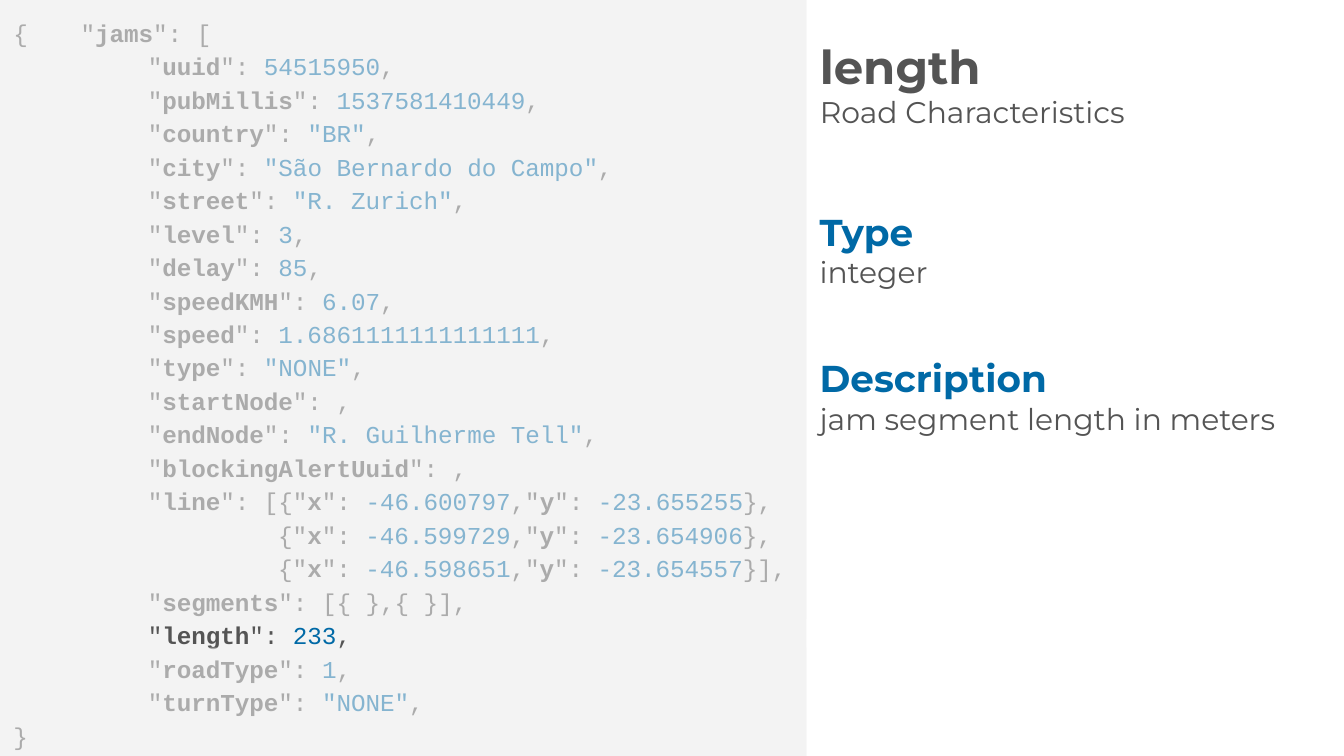
from lxml.etree import SubElement
from pptx import Presentation
from pptx.dml.color import RGBColor
from pptx.enum.shapes import MSO_SHAPE
from pptx.enum.text import MSO_ANCHOR, MSO_AUTO_SIZE, PP_ALIGN
from pptx.oxml.ns import qn
from pptx.util import Inches, Pt

COLORS = {"panel": "F3F3F3", "text": "545454", "accent": "0069A6"}
CODE_FONT, LABEL_FONT = "Courier New", "Montserrat"

FIELDS = [
    ("uuid", "54515950"),
    ("pubMillis", "1537581410449"),
    ("country", '"BR"'),
    ("city", '"São Bernardo do Campo"'),
    ("street", '"R. Zurich"'),
    ("level", "3"),
    ("delay", "85"),
    ("speedKMH", "6.07"),
    ("speed", "1.6861111111111111"),
    ("type", '"NONE"'),
    ("startNode", ""),
    ("endNode", '"R. Guilherme Tell"'),
    ("blockingAlertUuid", ""),
]
POINTS = [
    ("-46.600797", "-23.655255"),
    ("-46.599729", "-23.654906"),
    ("-46.598651", "-23.654557"),
]
LAST_FIELDS = [("length", "233"), ("roadType", "1"), ("turnType", '"NONE"')]

TITLE, CATEGORY = "length", "Road Characteristics"
# heading, top of heading, detail, (top, width, height) of detail
SECTIONS = [
    ("Type", 1.46, "integer", (1.79, 3.6, 0.87)),
    ("Description", 2.54, "jam segment length in meters", (2.88, 4, 2.63)),
]

SLIDE_W, PANEL_W = 10, 6
SLIDE_H = SLIDE_W * 9 / 16
FIELD_INDENT, POINT_INDENT = 1, 1.97
VEIL_TOPS = [4.82, -1.02]  # panel-sized veils that leave only "length" clear
VEIL_ALPHA = 55


def plain(text):
    return text, {}


def pair(key, value="", end=","):
    """Return the runs of one JSON member: bold key, accented value."""
    runs = [plain('"'), (key, {"bold": True}), plain('": ')]
    if value:
        runs.append((value, {"color": "accent"}))
    return runs + [plain(end)]


def code_lines():
    """Return (indent, runs) for every line of the JSON sample."""
    lines = [(0, [plain("{\t")] + pair("jams", end="["))]
    lines += [(FIELD_INDENT, pair(*field)) for field in FIELDS]
    for i, (x, y) in enumerate(POINTS):
        opening = pair("line", end="[{") if i == 0 else [plain("{")]
        closing = "}]," if i == len(POINTS) - 1 else "},"
        indent = FIELD_INDENT if i == 0 else POINT_INDENT
        lines.append((indent, opening + pair("x", x) + pair("y", y, closing)))
    lines.append((FIELD_INDENT, pair("segments", end="[{ },{ }],")))
    lines += [(FIELD_INDENT, pair(*field)) for field in LAST_FIELDS]
    return lines + [(0, [plain("}")])]


def write(paragraph, text, size=16, color="text", bold=False, font=LABEL_FONT):
    run = paragraph.add_run()
    run.text = text
    run.font.size, run.font.bold, run.font.name = Pt(size), bold, font
    run.font.color.rgb = RGBColor.from_string(COLORS[color])


def paint(shape):
    shape.fill.solid()
    shape.fill.fore_color.rgb = RGBColor.from_string(COLORS["panel"])


def place(shape, left, top, width, height, anchor=MSO_ANCHOR.TOP):
    """Position a text shape and return its frame with even margins."""
    shape.left, shape.top = Inches(left), Inches(top)
    shape.width, shape.height = Inches(width), Inches(height)
    frame = shape.text_frame
    frame.word_wrap, frame.auto_size = True, MSO_AUTO_SIZE.NONE
    frame.vertical_anchor = anchor
    frame.margin_left = frame.margin_right = Inches(0.1)
    frame.margin_top = frame.margin_bottom = Inches(0.1)
    return frame


def next_paragraph(frame, is_first):
    paragraph = frame.paragraphs[0] if is_first else frame.add_paragraph()
    paragraph.alignment = PP_ALIGN.LEFT
    paragraph.space_before = Pt(0)
    return paragraph


def add_code(slide):
    panel = slide.placeholders[1]
    paint(panel)
    frame = place(panel, 0, 0, PANEL_W, SLIDE_H)
    for i, (indent, runs) in enumerate(code_lines()):
        paragraph = next_paragraph(frame, i == 0)
        paragraph.line_spacing = 1.15
        props = paragraph._p.get_or_add_pPr()
        props.set("marL", str(Inches(indent)))
        props.set("indent", "0")
        SubElement(props, qn("a:buNone"))
        if i == 0:
            stops = SubElement(props, qn("a:tabLst"))
            SubElement(stops, qn("a:tab"), pos=str(Inches(FIELD_INDENT)), algn="l")
        for text, style in runs:
            write(paragraph, text, size=13, font=CODE_FONT, **style)


def add_title(slide):
    frame = place(slide.shapes.title, PANEL_W, 0.16, 4, 0.92, MSO_ANCHOR.MIDDLE)
    write(next_paragraph(frame, True), TITLE, size=25, bold=True)
    write(next_paragraph(frame, False), CATEGORY)


def add_label(slide, top, width, height, text, **style):
    box = slide.shapes.add_textbox(0, 0, 0, 0)
    frame = place(box, PANEL_W, top, width, height)
    write(next_paragraph(frame, True), text, **style)


def add_veil(slide, top):
    veil = slide.shapes.add_shape(
        MSO_SHAPE.RECTANGLE, 0, Inches(top), Inches(PANEL_W), Inches(SLIDE_H))
    veil.shadow.inherit = False
    veil.line.fill.background()
    paint(veil)
    color = veil._element.spPr.find(qn("a:solidFill"))[0]
    SubElement(color, qn("a:alpha"), val=str(VEIL_ALPHA * 1000))


def main():
    deck = Presentation()
    deck.slide_width, deck.slide_height = Inches(SLIDE_W), Inches(SLIDE_H)
    slide = deck.slides.add_slide(deck.slide_layouts[1])
    add_code(slide)
    add_title(slide)
    for heading, heading_top, detail, detail_area in SECTIONS:
        add_label(slide, heading_top, 1.93, 0.5, heading,
                  size=20, color="accent", bold=True)
        add_label(slide, *detail_area, detail)
    for top in VEIL_TOPS:
        add_veil(slide, top)
    deck.save("out.pptx")


if __name__ == "__main__":
    main()
